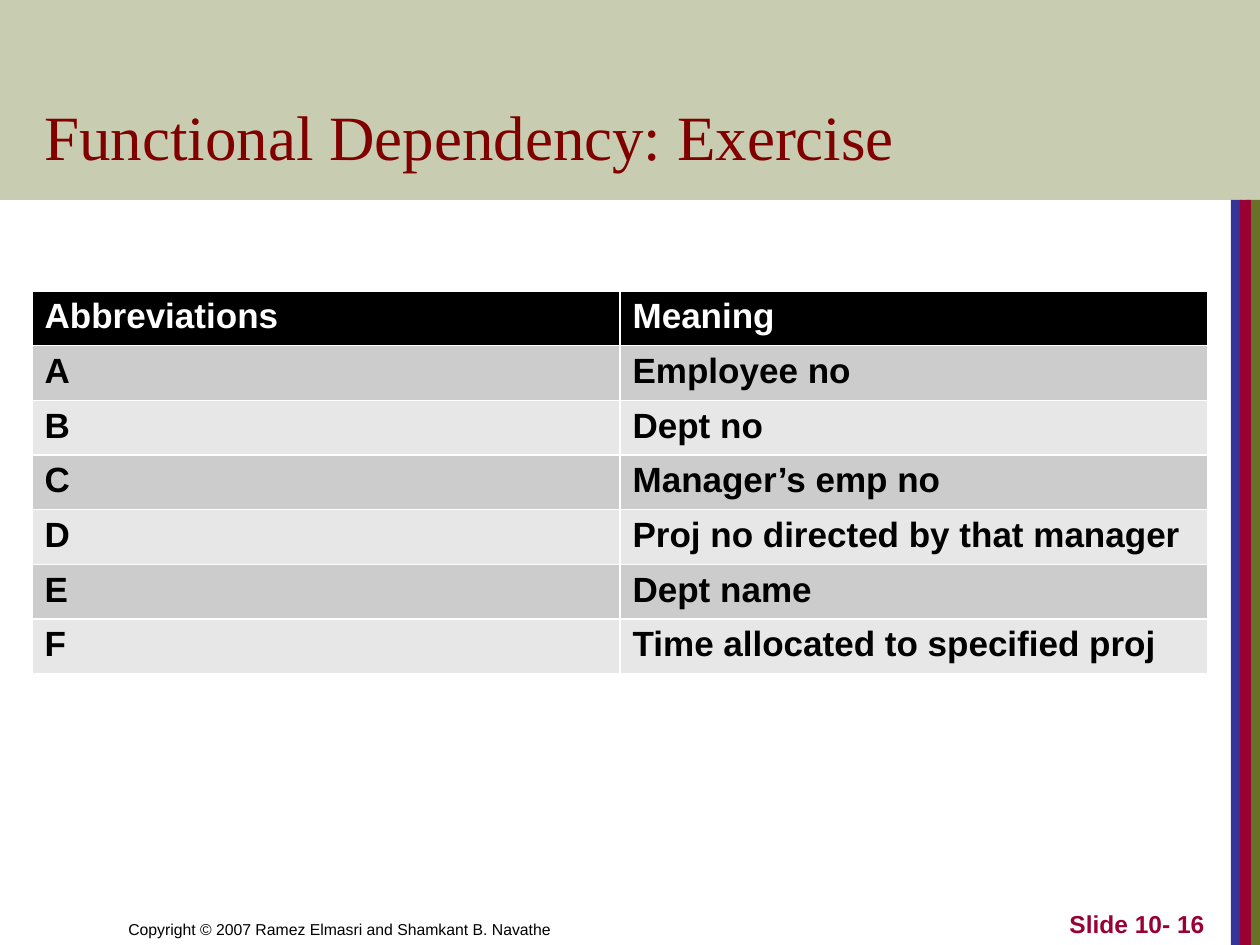
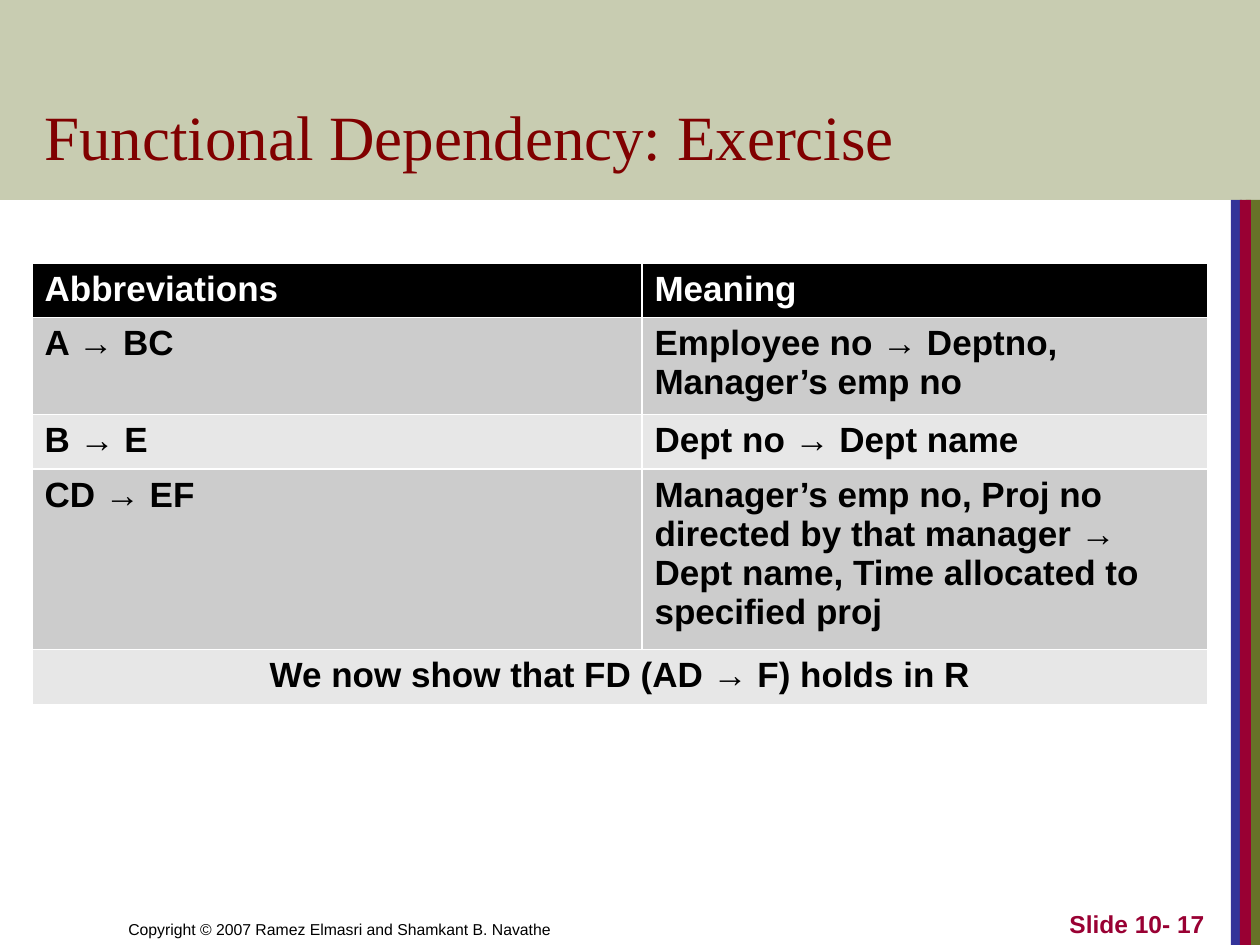
from lxml import etree
from pptx import Presentation
from pptx.dml.color import RGBColor
from pptx.enum.shapes import MSO_SHAPE
from pptx.enum.text import MSO_ANCHOR, PP_ALIGN
from pptx.oxml.ns import qn
from pptx.util import Emu, Pt

RECT = MSO_SHAPE.RECTANGLE
BOTTOM = MSO_ANCHOR.BOTTOM
LEFT, CENTER, RIGHT = PP_ALIGN.LEFT, PP_ALIGN.CENTER, PP_ALIGN.RIGHT

PX_PER_INCH = 126
WIDTH, HEIGHT = 1260, 945
BAND_HEIGHT = 200
TABLE_LEFT = 32

BLACK, WHITE = "000000", "FFFFFF"
OLIVE, BLUE, CRIMSON, MAROON = "677228", "333399", "990033", "800000"
ROW_FILLS = ("CCCCCC", "E7E7E7")
SANS, SERIF = "Arial", "Times New Roman"

TITLE = "Functional Dependency: Exercise"
COPYRIGHT = "Copyright © 2007 Ramez Elmasri and Shamkant B. Navathe"
HEADER = ("Abbreviations", "Meaning")
ATTRIBUTES = [
    HEADER,
    ("A", "Employee no"),
    ("B", "Dept no"),
    ("C", "Manager’s emp no"),
    ("D", "Proj no directed by that manager"),
    ("E", "Dept name"),
    ("F", "Time allocated to specified proj"),
]
DEPENDENCIES = [
    HEADER,
    ("A → BC", "Employee no → Deptno, Manager’s emp no"),
    ("B → E", "Dept no → Dept name"),
    ("CD → EF", "Manager’s emp no, Proj no directed by that manager → "
                "Dept name, Time allocated to specified proj"),
    ("We now show that FD (AD → F) holds in R",),
]


def px(n):
    return Emu(round(n * 914400 / PX_PER_INCH))


def rgb(color):
    return RGBColor.from_string(color)


def write(tf, text, size=20, font=SANS, color=BLACK, bold=False, align=LEFT):
    p = tf.paragraphs[0]
    p.alignment = align
    r = p.add_run()
    r.text = text
    r.font.size = Pt(size)
    r.font.name = font
    r.font.bold = bold
    r.font.color.rgb = rgb(color)


def add_borders(cell, color=WHITE, width=1):
    tcPr = cell._tc.get_or_add_tcPr()
    for side in ("lnL", "lnR", "lnT", "lnB"):
        ln = etree.SubElement(tcPr, qn(f"a:{side}"), w=str(Pt(width)))
        fill = etree.SubElement(ln, qn("a:solidFill"))
        etree.SubElement(fill, qn("a:srgbClr"), val=color)


class Deck:
    def __init__(self):
        self.prs = Presentation()
        self.prs.slide_width, self.prs.slide_height = px(WIDTH), px(HEIGHT)
        self.slide = None

    def new_slide(self, number):
        """Start a slide with the shared bands, title and footers."""
        self.slide = self.prs.slides.add_slide(self.prs.slide_layouts[6])
        for left, width, color in ((1246, 14, OLIVE), (1231, 11, BLUE),
                                   (1240, 11, CRIMSON)):
            self.rect(left, BAND_HEIGHT, width, HEIGHT - BAND_HEIGHT, color)
        self.rect(0, 0, WIDTH, BAND_HEIGHT, OLIVE, opacity=36)
        self.text(116, 882, 620, 63, COPYRIGHT, size=9)
        self.text(32, 42, 1075, 137, TITLE, size=36, font=SERIF, color=MAROON)
        self.text(955, 882, 262, 63, f"Slide 10- {number}", size=14,
                  color=CRIMSON, bold=True, align=RIGHT)

    def rect(self, x, y, w, h, color, opacity=100):
        sp = self.slide.shapes.add_shape(RECT, px(x), px(y), px(w), px(h))
        sp.shadow.inherit = False
        sp.line.fill.background()
        sp.fill.solid()
        sp.fill.fore_color.rgb = rgb(color)
        if opacity < 100:
            clr = sp._element.spPr.find(".//" + qn("a:srgbClr"))
            etree.SubElement(clr, qn("a:alpha"), val=str(opacity * 1000))

    def text(self, x, y, w, h, text, **style):
        """Add a bottom-anchored text box."""
        sp = self.slide.shapes.add_textbox(px(x), px(y), px(w), px(h))
        tf = sp.text_frame
        tf.word_wrap = True
        tf.vertical_anchor = BOTTOM
        write(tf, text, **style)

    def table(self, y, col_widths, row_heights, rows):
        """Add a banded table; a row with one text spans all columns."""
        table = self.slide.shapes.add_table(
            len(rows), len(col_widths), px(TABLE_LEFT), px(y),
            px(sum(col_widths)), px(sum(row_heights))).table
        for col, width in zip(table.columns, col_widths):
            col.width = px(width)
        for i, (texts, height) in enumerate(zip(rows, row_heights)):
            table.rows[i].height = px(height)
            spans = len(texts) == 1
            for j in range(len(col_widths)):
                cell = table.cell(i, j)
                add_borders(cell)
                cell.fill.solid()
                cell.fill.fore_color.rgb = rgb(ROW_FILLS[(i - 1) % 2] if i else BLACK)
            if spans:
                table.cell(i, 0).merge(table.cell(i, len(col_widths) - 1))
            for j, text in enumerate(texts):
                write(table.cell(i, j).text_frame, text, bold=True,
                      color=BLACK if i else WHITE,
                      align=CENTER if spans else LEFT)


def main():
    deck = Deck()
    deck.new_slide(16)
    deck.table(291, (588, 588), [54.4] * len(ATTRIBUTES), ATTRIBUTES)
    deck.new_slide(17)
    deck.table(263, (610, 566), (51, 91, 51, 169, 51), DEPENDENCIES)
    deck.prs.save("out.pptx")


if __name__ == "__main__":
    main()
